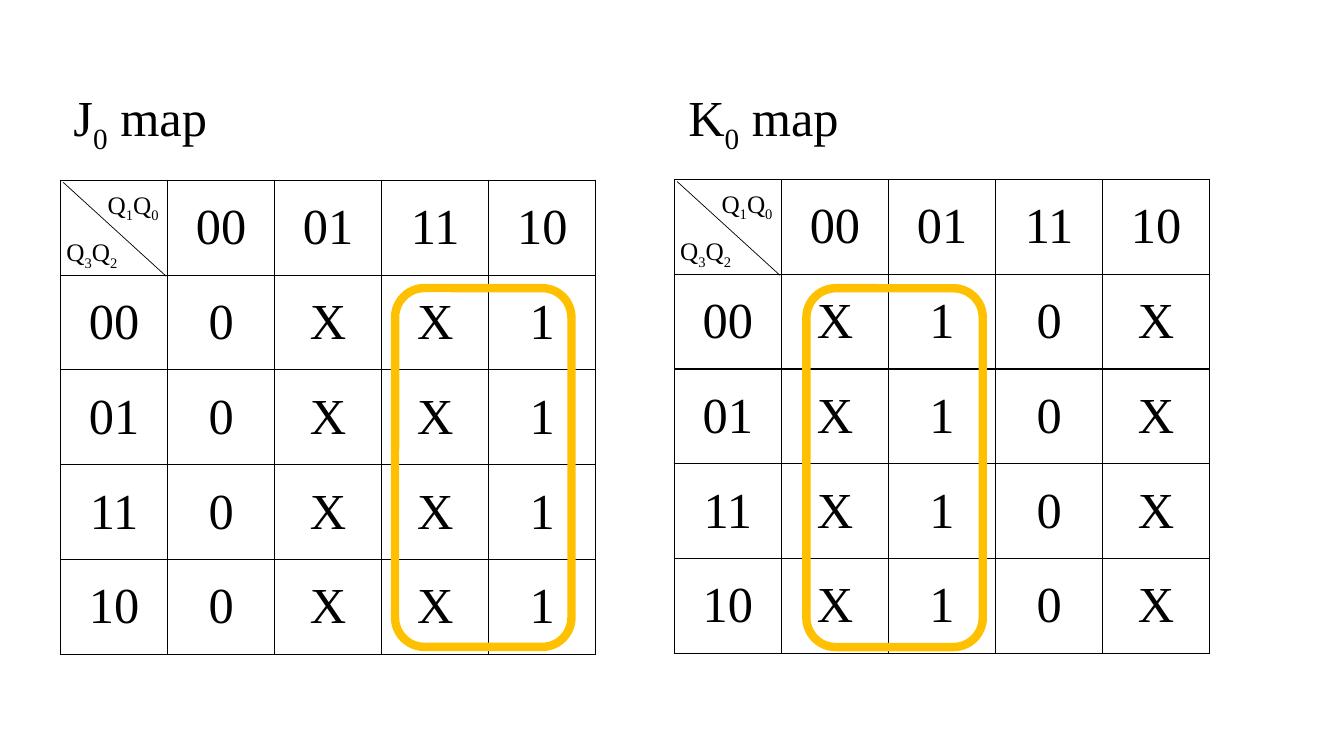
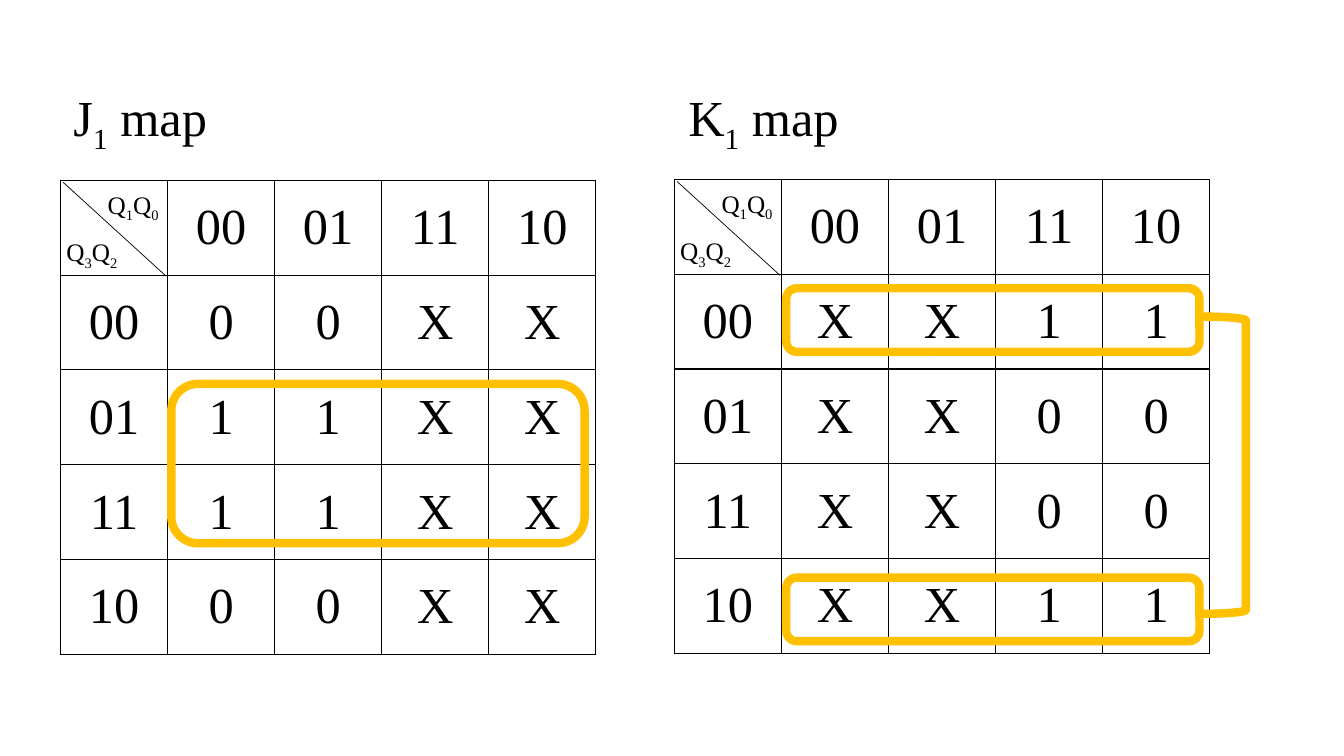
from itertools import groupby
from pptx import Presentation
from pptx.dml.color import RGBColor
from pptx.enum.shapes import MSO_CONNECTOR, MSO_SHAPE
from pptx.enum.text import MSO_ANCHOR, MSO_AUTO_SIZE, PP_ALIGN
from pptx.oxml.ns import qn
from pptx.util import Pt
from lxml.etree import SubElement

# Content: map values by row; loops are offsets from the map's corner in points
GRAY_CODE = ["00", "01", "11", "10"]
LOOP, BRACKET = MSO_SHAPE.ROUNDED_RECTANGLE, MSO_SHAPE.RIGHT_BRACKET
SLIDES = [
    [
        {"title": "J0 map", "rows": ["0XX1"] * 4,
         "loops": [(LOOP, 239, 77, 126, 256.3)]},
        {"title": "K0 map", "rows": ["X10X"] * 4,
         "loops": [(LOOP, 94.3, 77.7, 126, 256.3)]},
    ],
    [
        {"title": "J1 map", "rows": ["00XX", "11XX", "11XX", "00XX"],
         "loops": [(LOOP, 79.2, 145.4, 295.2, 113.8)]},
        {"title": "K1 map", "rows": ["XX11", "XX00", "XX00", "XX11"],
         "loops": [(LOOP, 79.9, 284.4, 295.2, 45.4),
                   (BRACKET, 375.1, 97.9, 33.1, 212.4),
                   (LOOP, 79.9, 77.7, 295.2, 45.4)]},
    ],
]

# Theme and layout, in points
THEME = {
    "font": "Times New Roman", "ink": RGBColor(0, 0, 0),
    "accent": RGBColor(0xFF, 0xC0, 0x00),
    "large": 36, "small": 18, "grid": 1, "diagonal": 0.5, "loop": 6,
}
MAP_CORNERS = [(43.2, 128.8), (481.7, 128.2)]
TITLES = [(45.4, 112.3), (484.6, 124.6)]  # left, width
TITLE_TOP, TITLE_HEIGHT = 58.3, 51.1
COLUMN_WIDTH, ROW_HEIGHT = 76.5, 67.7
AXIS_LABELS = [("Q3Q2", -2.9, 36.7), ("Q1Q0", 26.6, 2.9)]
AXIS_SIZE = (52.6, 28.8)
CELL_FORMAT = {
    "vertical_anchor": MSO_ANCHOR.MIDDLE,
    "margin_left": Pt(5.8), "margin_right": Pt(5.8),
    "margin_top": Pt(2.9), "margin_bottom": Pt(2.9),
}
LABEL_FORMAT = {"word_wrap": False, "auto_size": MSO_AUTO_SIZE.SHAPE_TO_FIT_TEXT}


def apply(target, values):
    for name, value in values.items():
        setattr(target, name, value)


def add_run(paragraph, text, size):
    run = paragraph.add_run()
    run.text = text
    apply(run.font, {"name": THEME["font"], "size": Pt(size)})
    run.font.color.rgb = THEME["ink"]
    return run


def add_label(slide, text, size, box):
    """Add a one-line label whose digits are subscripts."""
    frame = slide.shapes.add_textbox(*map(Pt, box)).text_frame
    apply(frame, LABEL_FORMAT)
    for is_digit, letters in groupby(text, str.isdigit):
        run = add_run(frame.paragraphs[0], "".join(letters), size)
        if is_digit:
            run.font._element.set("baseline", "-25000")


def add_borders(cell):
    properties = cell._tc.get_or_add_tcPr()
    for position, side in enumerate(("a:lnL", "a:lnR", "a:lnT", "a:lnB")):
        border = properties.makeelement(qn(side), {"w": str(Pt(THEME["grid"]))})
        ink = SubElement(SubElement(border, qn("a:solidFill")), qn("a:srgbClr"))
        ink.set("val", str(THEME["ink"]))
        properties.insert(position, border)


def add_grid(slide, rows, left, top):
    values = [["", *GRAY_CODE]] + [[code, *row] for code, row in zip(GRAY_CODE, rows)]
    count = len(values)
    grid = slide.shapes.add_table(count, count, Pt(left), Pt(top),
                                  Pt(count * COLUMN_WIDTH), Pt(count * ROW_HEIGHT)).table
    apply(grid, {"first_row": False, "horz_banding": False})
    for column, row in zip(grid.columns, grid.rows):
        column.width, row.height = Pt(COLUMN_WIDTH), Pt(ROW_HEIGHT)
    for r, row in enumerate(values):
        for c, value in enumerate(row):
            cell = grid.cell(r, c)
            cell.fill.background()
            apply(cell, CELL_FORMAT)
            add_borders(cell)
            if value:
                paragraph = cell.text_frame.paragraphs[0]
                paragraph.alignment = PP_ALIGN.CENTER
                add_run(paragraph, value, THEME["large"])


def add_corner(slide, left, top):
    """Split the corner cell between the row and column variables."""
    diagonal = slide.shapes.add_connector(
        MSO_CONNECTOR.STRAIGHT, Pt(left + 2), Pt(top + 1.5),
        Pt(left + COLUMN_WIDTH - 1), Pt(top + ROW_HEIGHT + 0.8))
    diagonal.line.color.rgb = THEME["ink"]
    diagonal.line.width = Pt(THEME["diagonal"])
    SubElement(diagonal._element.spPr, qn("a:effectLst"))
    for text, dx, dy in AXIS_LABELS:
        add_label(slide, text, THEME["small"], (left + dx, top + dy, *AXIS_SIZE))


def add_loop(slide, outline, left, top, width, height):
    loop = slide.shapes.add_shape(outline, Pt(left), Pt(top), Pt(width), Pt(height))
    loop.shadow.inherit = False
    loop.fill.background()
    loop.line.color.rgb = THEME["accent"]
    loop.line.width = Pt(THEME["loop"])


# Build the slides
deck = Presentation()
apply(deck, {"slide_width": Pt(960), "slide_height": Pt(540)})
for maps in SLIDES:
    slide = deck.slides.add_slide(deck.slide_layouts[6])
    for karnaugh, (left, top), (title_left, title_width) in zip(maps, MAP_CORNERS, TITLES):
        add_grid(slide, karnaugh["rows"], left, top)
        add_label(slide, karnaugh["title"], THEME["large"],
                  (title_left, TITLE_TOP, title_width, TITLE_HEIGHT))
        add_corner(slide, left, top)
        for outline, dx, dy, width, height in karnaugh["loops"]:
            add_loop(slide, outline, left + dx, top + dy, width, height)
deck.save("out.pptx")
